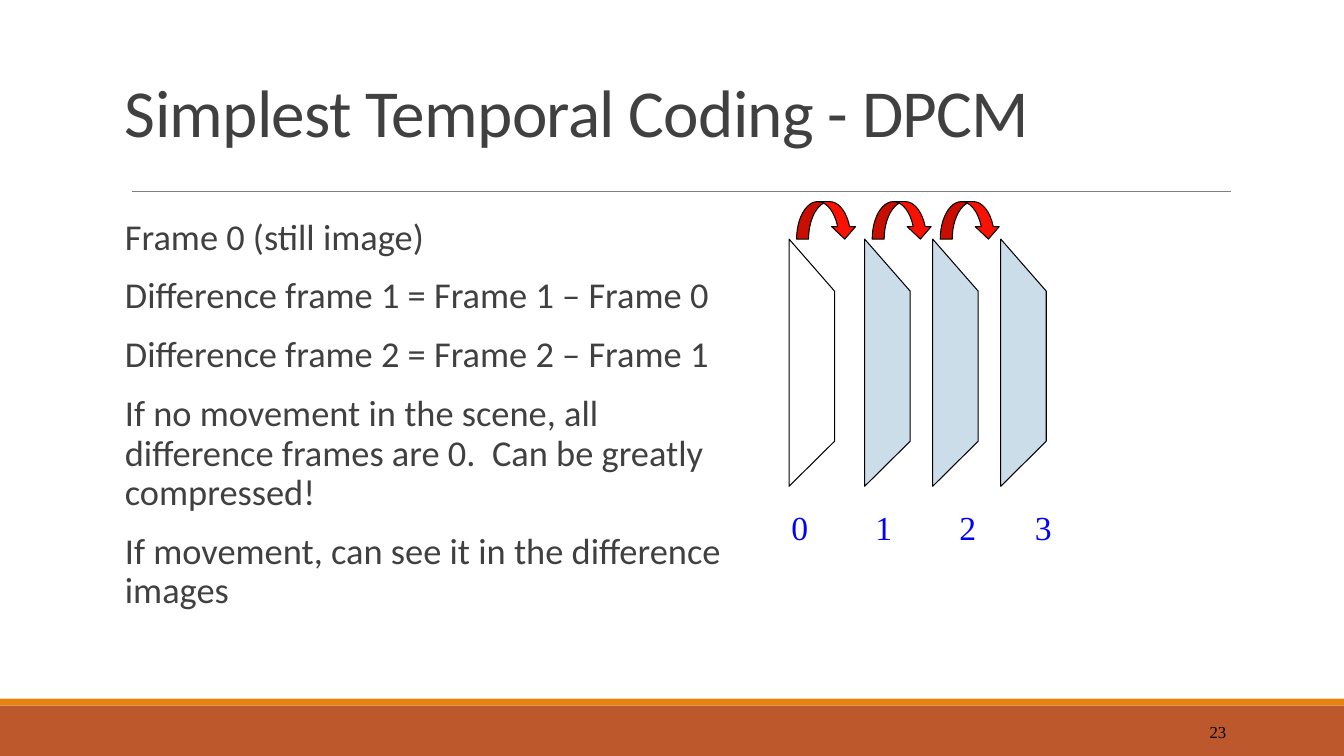
from collections import namedtuple
from dataclasses import dataclass

from lxml import etree
from pptx import Presentation
from pptx.dml.color import RGBColor as Rgb
from pptx.enum import shapes as kinds, text as txt
from pptx.oxml import ns
from pptx.util import Pt

Box = namedtuple("Box", "x y w h")


@dataclass(frozen=True)
class Theme:
    sans: str = "Calibri"
    serif: str = "Times New Roman"
    ink: str = "404040"
    black: str = "000000"
    rule: str = "808080"
    rust: str = "BD582C"
    amber: str = "E48312"
    pale: str = "CCDDEA"
    red: str = "F91202"
    blue: str = "0000FF"
    head: float = 48
    body: float = 26
    label: float = 24
    small: float = 12
    thin: float = 0.5
    edge: float = 0.75


THEME = Theme()
TITLE = "Simplest Temporal Coding - DPCM"
POINTS = [
    "Frame 0 (still image)",
    "Difference frame 1 = Frame 1 – Frame 0",
    "Difference frame 2 = Frame 2 – Frame 1",
    "If no movement in the scene, all difference frames are 0.  Can be greatly compressed!",
    "If movement, can see it in the difference images",
]


def place(shape, box):
    shape.left, shape.top, shape.width, shape.height = map(Pt, box)


def write(para, words, font, size, color):
    run = para.add_run()
    run.text = words
    run.font.name = font
    run.font.size = Pt(size)
    run.font.color.rgb = Rgb.from_string(color)
    return run


def paint(shape, fill=None, line=None):
    shape.shadow.inherit = False
    if fill:
        shape.fill.solid()
        shape.fill.fore_color.rgb = Rgb.from_string(fill)
    else:
        shape.fill.background()
    if line:
        shape.line.color.rgb = Rgb.from_string(line)
        shape.line.width = Pt(THEME.edge)
    else:
        shape.line.fill.background()


def preset(slide, kind, box, fill, line=None):
    shape = slide.shapes.add_shape(kind, *map(Pt, box))
    paint(shape, fill, line)
    return shape


def note(slide, box):
    """Add an empty text box and return its first paragraph."""
    frame = slide.shapes.add_textbox(*map(Pt, box)).text_frame
    frame.word_wrap = True
    frame.vertical_anchor = txt.MSO_ANCHOR.MIDDLE
    return frame.paragraphs[0]


def footer(slide, box, number):
    band = 5.04
    rect = kinds.MSO_SHAPE.RECTANGLE
    preset(slide, rect, Box(box.x, box.y + band, box.w, box.h - band), THEME.rust)
    preset(slide, rect, Box(box.x, box.y, box.w, band), THEME.amber)
    para = note(slide, Box(box.x + 780, box.y + 9.36, 103, 28.8))
    para.alignment = txt.PP_ALIGN.RIGHT
    write(para, number, THEME.serif, THEME.small, THEME.black)


def header(slide, box):
    title = slide.shapes.title
    place(title, box)
    frame = title.text_frame
    frame.auto_size = txt.MSO_AUTO_SIZE.NONE
    frame.vertical_anchor = txt.MSO_ANCHOR.BOTTOM
    para = frame.paragraphs[0]
    para.alignment = txt.PP_ALIGN.LEFT
    para.line_spacing = 0.85
    run = write(para, TITLE, THEME.sans, THEME.head, THEME.ink)
    run.font._element.set("spc", "-50")

    left, level = box.x + 12.2, box.y + 115.2
    rule = slide.shapes.add_connector(
        kinds.MSO_CONNECTOR.STRAIGHT, Pt(left), Pt(level), Pt(left + 785), Pt(level))
    rule.line.color.rgb = Rgb.from_string(THEME.rule)
    rule.line.width = Pt(THEME.thin)
    etree.SubElement(rule._element.spPr, ns.qn("a:effectLst"))


def points(slide, box):
    body = slide.placeholders[1]
    place(body, box)
    frame = body.text_frame
    frame.auto_size = txt.MSO_AUTO_SIZE.NONE
    frame.margin_left = frame.margin_right = 0
    for i, words in enumerate(POINTS):
        para = frame.add_paragraph() if i else frame.paragraphs[0]
        para.line_spacing = 0.9
        para.space_before, para.space_after = Pt(12), Pt(2)
        props = para._p.get_or_add_pPr()
        props.set("marL", str(Pt(7.2)))
        props.set("indent", "0")
        etree.SubElement(props, ns.qn("a:buNone"))
        write(para, words, THEME.sans, THEME.body, THEME.ink)


def panel(slide, box, fill):
    """Draw one frame seen at an angle, its right edge shorter."""
    right, end = box.x + box.w, box.y + box.h
    corners = [(right, box.y + 37.2), (right, end - 32.2), (box.x, end)]
    pen = slide.shapes.build_freeform(Pt(box.x), Pt(box.y))
    pen.add_line_segments([(Pt(x), Pt(y)) for x, y in corners], close=True)
    paint(pen.convert_to_shape(), fill, THEME.black)


def frames(slide, box):
    lefts = [box.x] + [box.x + 54 + 48.6 * i for i in range(3)]
    top = box.y + 26.8
    for i, left in enumerate(lefts):
        panel(slide, Box(left, top, 32.5, 176.6), THEME.pale if i else None)
    for left in lefts[:-1]:
        arrow = preset(slide, kinds.MSO_SHAPE.CURVED_DOWN_ARROW,
                       Box(left + 5.4, box.y, 43, 26.8), THEME.red, THEME.black)
        for i, value in enumerate((0.32, 0.64, 0.333)):
            arrow.adjustments[i] = value

    para = note(slide, Box(box.x - 5.4, box.y + 214, box.w, 36.5))
    stops = etree.SubElement(para._p.get_or_add_pPr(), ns.qn("a:tabLst"))
    for stop in (60, 120, 174):
        etree.SubElement(stops, ns.qn("a:tab"), pos=str(Pt(stop)), algn="l")
    write(para, "0\t1\t2\t3", THEME.serif, THEME.label, THEME.blue)


def main():
    deck = Presentation()
    deck.slide_width, deck.slide_height = Pt(960), Pt(540)
    slide = deck.slides.add_slide(deck.slide_layouts[1])
    footer(slide, Box(0, 499, 960, 41), "23")
    header(slide, Box(82, 21.6, 830, 90))
    points(slide, Box(82, 152.6, 452, 312))
    frames(slide, Box(563.6, 144, 216, 250.5))
    deck.save("out.pptx")


if __name__ == "__main__":
    main()
